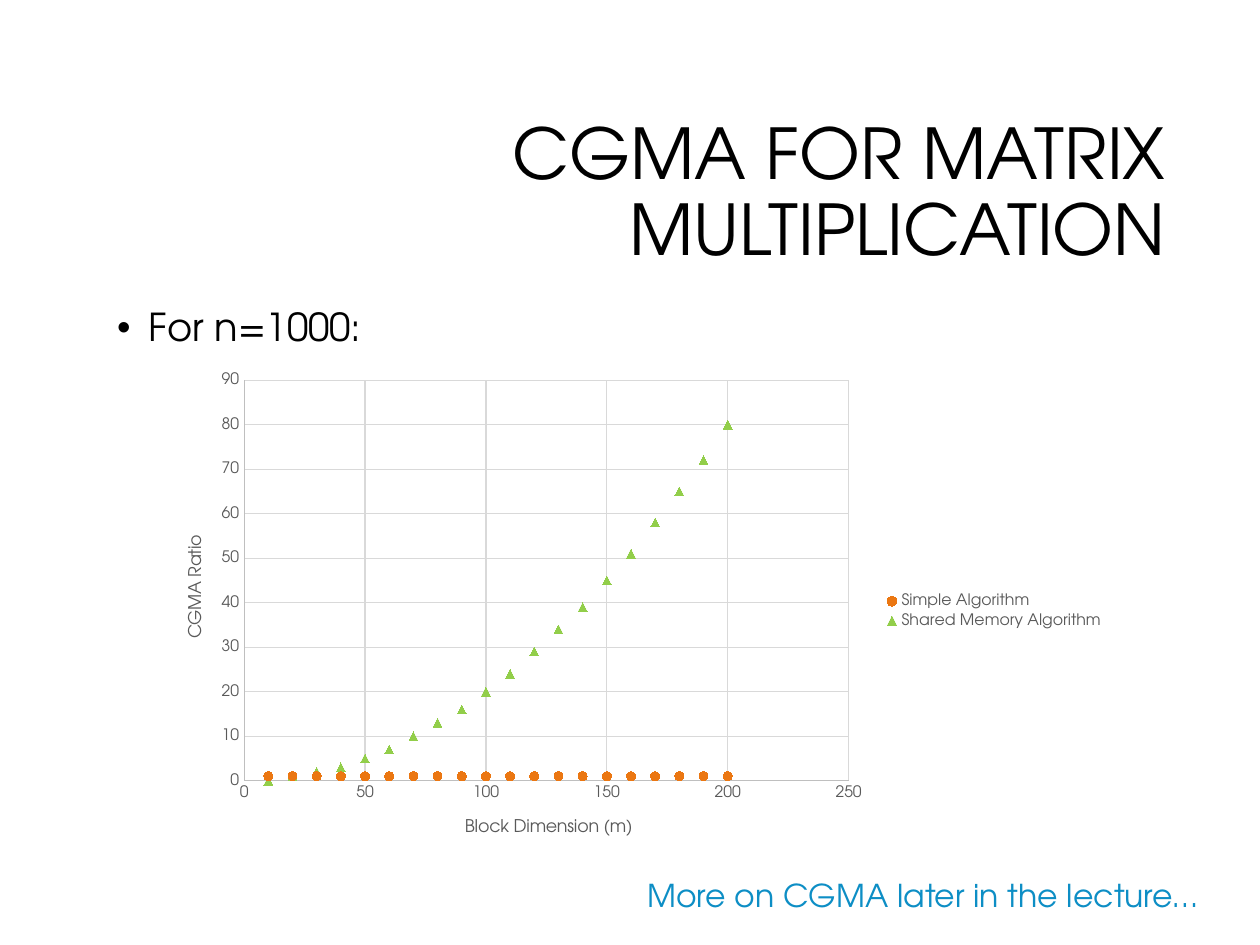
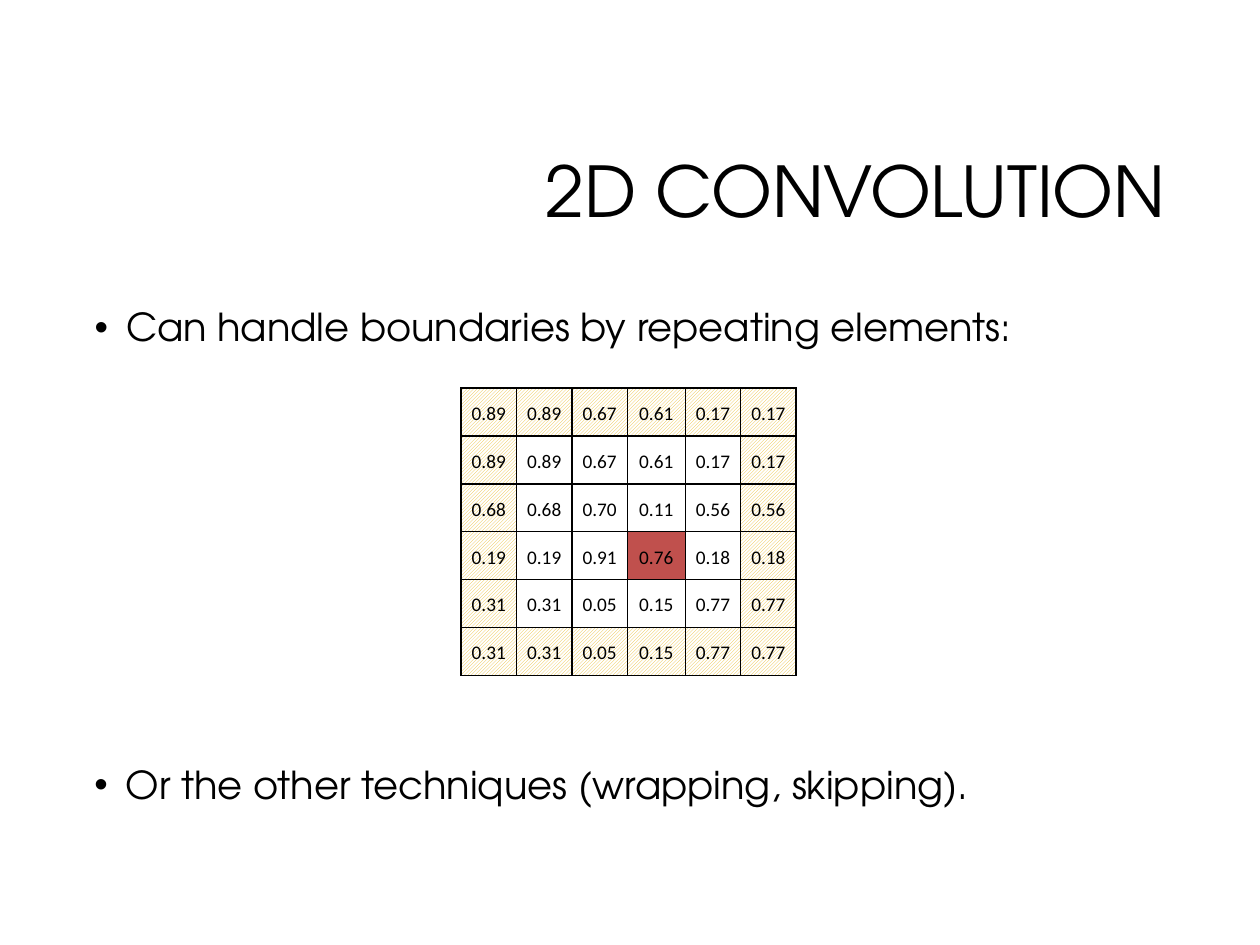
from lxml.etree import SubElement
from pptx import Presentation
from pptx.chart.data import XyChartData
from pptx.dml.color import RGBColor
from pptx.enum.chart import XL_CHART_TYPE, XL_LEGEND_POSITION, XL_MARKER_STYLE, XL_TICK_MARK
from pptx.enum.dml import MSO_PATTERN
from pptx.enum.text import MSO_ANCHOR, MSO_AUTO_SIZE, PP_ALIGN
from pptx.oxml import parse_xml
from pptx.oxml.ns import nsdecls, qn
from pptx.util import Inches, Pt

BLACK = RGBColor(0x00, 0x00, 0x00)
WHITE = RGBColor(0xFF, 0xFF, 0xFF)
BLUE = RGBColor(0x0D, 0x8E, 0xC5)
ORANGE = RGBColor(0xEB, 0x77, 0x12)
GREEN = RGBColor(0x92, 0xCE, 0x4A)
GOLD = RGBColor(0xEC, 0xBD, 0x31)
RED = RGBColor(0xC0, 0x50, 0x4D)
LABEL_GREY = RGBColor(0x59, 0x59, 0x59)
AXIS_GREY = RGBColor(0xBF, 0xBF, 0xBF)
GRID_GREY = RGBColor(0xD9, 0xD9, 0xD9)

FONT = "TeX Gyre Adventor"
TITLE_BOX = (2.38, 0.84, 6.97, 1.41)
FRAME = {"word_wrap": True, "auto_size": MSO_AUTO_SIZE.NONE}

MATRIX = [
    [0.89, 0.67, 0.61, 0.17],
    [0.68, 0.70, 0.11, 0.56],
    [0.19, 0.91, 0.76, 0.18],
    [0.31, 0.05, 0.15, 0.77],
]
CENTRE = (3, 3)


def assign(obj, **values):
    for name, value in values.items():
        setattr(obj, name, value)


def set_font(font, size, color=BLACK, name=FONT):
    assign(font, size=Pt(size), name=name, bold=False)
    font.color.rgb = color


def place(sp, box):
    for name, value in zip(("left", "top", "width", "height"), box):
        setattr(sp, name, Inches(value))


def add_textbox(slide, box):
    return slide.shapes.add_textbox(*map(Inches, box))


def write(sp, text, size, color=BLACK, anchor=MSO_ANCHOR.TOP, **para):
    """Put one formatted paragraph in the shape and return it."""
    tf = sp.text_frame
    assign(tf, vertical_anchor=anchor, **FRAME)
    p = tf.paragraphs[0]
    assign(p, **para)
    r = p.add_run()
    r.text = text
    set_font(r.font, size, color)
    return p


def write_bullet(sp, box, text):
    place(sp, box)
    p = write(sp, text, 22, line_spacing=0.9, space_before=Pt(0))
    pPr = p._p.get_or_add_pPr()
    pPr.set("marL", str(Inches(0.25)))
    pPr.set("indent", str(-Inches(0.25)))
    SubElement(pPr, qn("a:buFont"), typeface="Arial")
    SubElement(pPr, qn("a:buChar"), char="•")


def add_content_slide(prs, title, bullet, bullet_box):
    slide = prs.slides.add_slide(prs.slide_layouts[1])
    heading, body = slide.placeholders
    place(heading, TITLE_BOX)
    write(heading, title, 40, anchor=MSO_ANCHOR.MIDDLE,
          alignment=PP_ALIGN.RIGHT, line_spacing=0.9)
    write_bullet(body, bullet_box, bullet)
    return slide


def set_layout(element, index, inner=False, **fractions):
    """Fix a chart part's place, in fractions of the chart."""
    layout = element.find(qn("c:layout"))
    if layout is None:
        layout = parse_xml(f"<c:layout {nsdecls('c')}/>")
        element.insert(index, layout)
    manual = SubElement(layout, qn("c:manualLayout"))
    if inner:
        SubElement(manual, qn("c:layoutTarget"), val="inner")
    for mode in ("xMode", "yMode"):
        SubElement(manual, qn(f"c:{mode}"), val="edge")
    for name, value in fractions.items():
        SubElement(manual, qn(f"c:{name}"), val=str(value))


def format_axis(axis, title, maximum, step, x, y):
    assign(axis, minimum_scale=0, maximum_scale=maximum, major_unit=step,
           has_major_gridlines=True,
           major_tick_mark=XL_TICK_MARK.NONE, minor_tick_mark=XL_TICK_MARK.NONE)
    set_font(axis.tick_labels.font, 9, LABEL_GREY)
    for fmt, color in ((axis.format, AXIS_GREY), (axis.major_gridlines.format, GRID_GREY)):
        fmt.line.width = Pt(0.75)
        fmt.line.color.rgb = color
    p = axis.axis_title.text_frame.paragraphs[0]
    r = p.add_run()
    r.text = title
    set_font(r.font, 10, LABEL_GREY)
    set_layout(axis.axis_title._element, 1, x=x, y=y)


def add_ratio_chart(slide, box):
    block_sizes = range(10, 201, 10)
    algorithms = [
        ("Simple Algorithm", lambda m: 1, ORANGE, XL_MARKER_STYLE.CIRCLE),
        ("Shared Memory Algorithm", lambda m: round(m * m / 500), GREEN,
         XL_MARKER_STYLE.TRIANGLE),
    ]
    data = XyChartData()
    for name, ratio, *_ in algorithms:
        series = data.add_series(name)
        for m in block_sizes:
            series.add_data_point(m, ratio(m))

    chart = slide.shapes.add_chart(
        XL_CHART_TYPE.XY_SCATTER, *map(Inches, box), data).chart
    assign(chart, has_title=False, has_legend=True)
    set_font(chart.font, 10)
    assign(chart.legend, position=XL_LEGEND_POSITION.RIGHT, include_in_layout=False)
    set_font(chart.legend.font, 9, LABEL_GREY)

    plot = chart.plots[0]
    plot.vary_by_categories = False
    for series, (_, _, color, style) in zip(plot.series, algorithms):
        series.format.line.fill.background()
        assign(series.marker, style=style, size=5)
        series.marker.format.fill.solid()
        series.marker.format.fill.fore_color.rgb = color
        series.marker.format.line.color.rgb = color

    format_axis(chart.category_axis, "Block Dimension (m)", 250, 50, x=0.32, y=0.91)
    format_axis(chart.value_axis, "CGMA Ratio", 90, 10, x=0.03, y=0.34)
    plot_area = chart._chartSpace.chart.plotArea
    set_layout(plot_area, 0, inner=True, x=0.094, y=0.035, w=0.628, h=0.807)


def repeat_edges(items):
    return [items[0], *items, items[-1]]


def add_borders(cell):
    tcPr = cell._tc.get_or_add_tcPr()
    for i, side in enumerate("LRTB"):
        tcPr.insert(i, parse_xml(
            f'<a:ln{side} {nsdecls("a")} w="{Pt(1)}"><a:solidFill>'
            f'<a:srgbClr val="{BLACK}"/></a:solidFill></a:ln{side}>'))


def fill_cell(cell, is_border, is_centre):
    fill = cell.fill
    if is_border:
        fill.patterned()
        fill.pattern = MSO_PATTERN.LIGHT_UPWARD_DIAGONAL
        fill.fore_color.rgb = GOLD
        fill.back_color.rgb = WHITE
    elif is_centre:
        fill.solid()
        fill.fore_color.rgb = RED
    else:
        fill.background()


def add_padded_matrix(slide, box):
    """Draw the matrix with its outer elements repeated around it."""
    rows = repeat_edges([repeat_edges(row) for row in MATRIX])
    last = len(rows) - 1
    table = slide.shapes.add_table(len(rows), len(rows), *map(Inches, box)).table
    assign(table, first_row=False, horz_banding=False)
    for j, column in enumerate(table.columns):
        column.width = Inches(0.46 if j == CENTRE[1] else 0.44)
    for i, values in enumerate(rows):
        table.rows[i].height = Inches(0.38)
        for j, value in enumerate(values):
            cell = table.cell(i, j)
            assign(cell, vertical_anchor=MSO_ANCHOR.MIDDLE,
                   margin_left=Inches(0.07), margin_right=Inches(0.07),
                   margin_top=0, margin_bottom=0)
            p = cell.text_frame.paragraphs[0]
            assign(p, alignment=PP_ALIGN.CENTER, line_spacing=1.15)
            r = p.add_run()
            r.text = f"{value:.2f}"
            set_font(r.font, 11, name="Calibri")
            fill_cell(cell, i in (0, last) or j in (0, last), (i, j) == CENTRE)
            add_borders(cell)


def build_cgma_slide(prs):
    slide = add_content_slide(prs, "CGMA FOR MATRIX MULTIPLICATION",
                              "For n=1000:", (0.83, 2.4, 8.52, 0.56))
    add_ratio_chart(slide, (1.22, 2.88, 7.64, 3.94))
    write(add_textbox(slide, (5.04, 6.9, 4.96, 0.4)),
          "More on CGMA later in the lecture…", 18, BLUE)


def build_convolution_slide(prs):
    slide = add_content_slide(prs, "2D CONVOLUTION",
                              "Can handle boundaries by repeating elements:",
                              (0.65, 2.4, 8.7, 0.56))
    add_padded_matrix(slide, (3.66, 3.08, 2.66, 2.28))
    box = (0.65, 6.03, 8.7, 0.56)
    write_bullet(add_textbox(slide, box), box,
                 "Or the other techniques (wrapping, skipping).")


def main():
    prs = Presentation()
    assign(prs, slide_width=Inches(10), slide_height=Inches(7.5))
    build_cgma_slide(prs)
    build_convolution_slide(prs)
    prs.save("out.pptx")


if __name__ == "__main__":
    main()
